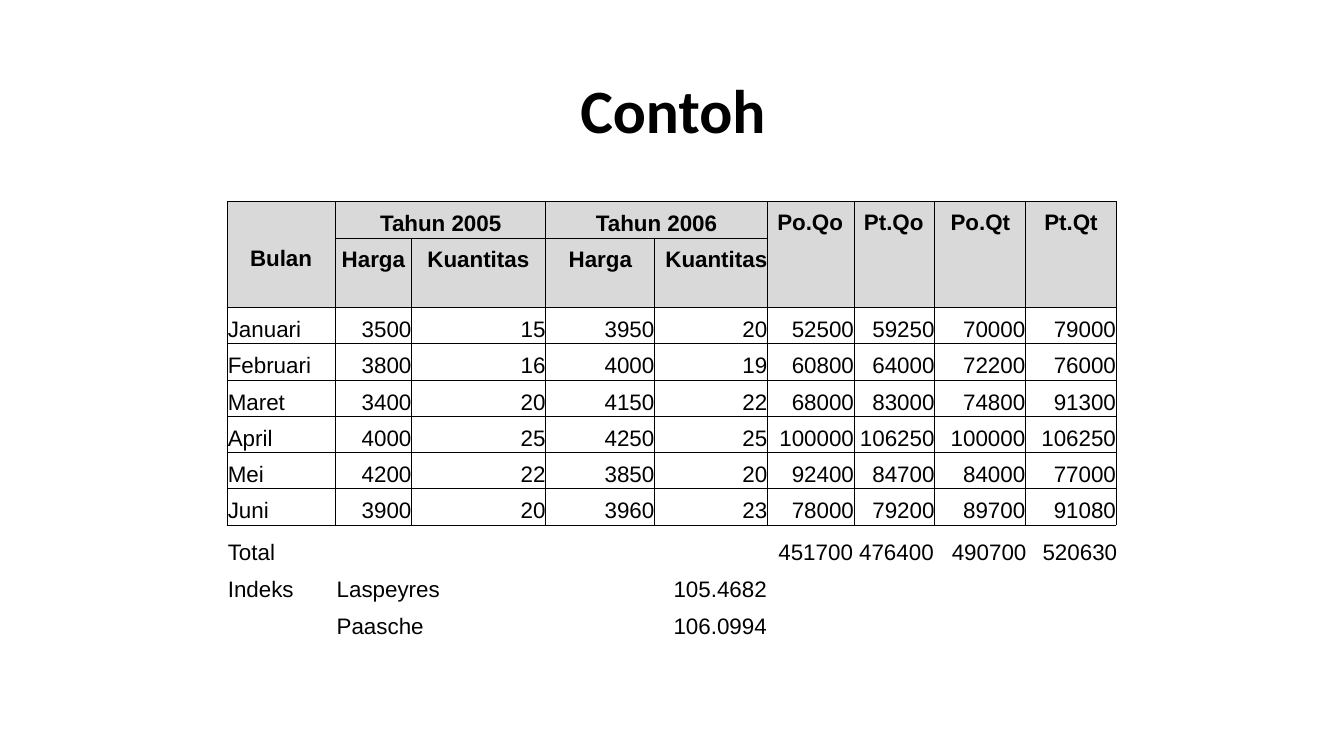
import dataclasses
import typing

import lxml.etree
import pptx
import pptx.dml.color
import pptx.enum.text
import pptx.oxml.ns
import pptx.util

Align = pptx.enum.text.PP_ALIGN
Anchor = pptx.enum.text.MSO_ANCHOR
qn = pptx.oxml.ns.qn

WIDE, HIGH = pptx.util.Inches(13.33), pptx.util.Inches(7.5)
HUES = {"ink": "000000", "head": "D9D9D9"}

# Shares of the slide, in percent
LEFT, TOP = 16.88, 26.67
COLS = [8.1, 5.63, 9.98, 8.1, 8.4, 6.45, 6, 6.75, 6.75]
ROWS = [4.8, 9.2] + [4.8] * 6

# Text metrics: line height in points, cell inset in inches
LINE, INSET = 18.4, 0.09


@dataclasses.dataclass
class Month:
    name: str
    po: int
    qo: int
    pt: int
    qt: int

    def values(self) -> list[int]:
        """Po.Qo, Pt.Qo, Po.Qt and Pt.Qt."""
        return [p * q for q in (self.qo, self.qt) for p in (self.po, self.pt)]


@dataclasses.dataclass
class Head:
    row: int
    col: int
    text: str
    pad: float
    down: int = 1
    across: int = 1
    inset: float = INSET
    line: typing.Optional[float] = LINE
    align: Align = Align.LEFT


@dataclasses.dataclass
class Box:
    left: float
    top: float
    width: float
    height: float
    text: str
    inset: float = 0.01
    line: float = 1.0
    gap: float = 0
    tabs: tuple[float, ...] = ()
    size: int = 16
    face: str = "Arial"
    bold: bool = False
    align: Align = Align.LEFT
    anchor: Anchor = Anchor.TOP


MONTHS = [
    Month("Januari", 3500, 15, 3950, 20),
    Month("Februari", 3800, 16, 4000, 19),
    Month("Maret", 3400, 20, 4150, 22),
    Month("April", 4000, 25, 4250, 25),
    Month("Mei", 4200, 22, 3850, 20),
    Month("Juni", 3900, 20, 3960, 23),
]
HEADS = [
    Head(0, 0, "Bulan", 0.23, down=2, inset=0.43),
    Head(0, 1, "Tahun 2005", 0.44, across=2),
    Head(0, 3, "Tahun 2006", 0.5, across=2),
    Head(0, 5, "Po.Qo", 0.1, down=2, line=None),
    Head(0, 6, "Pt.Qo", 0.1, down=2, line=None),
    Head(0, 7, "Po.Qt", 0.16, down=2, line=None),
    Head(0, 8, "Pt.Qt", 0.19, down=2, line=None),
    Head(1, 1, "Harga", 0.06),
    Head(1, 2, "Kuantitas", 0.16),
    Head(1, 3, "Harga", 0.23),
    Head(1, 4, "Kuantitas", 0, align=Align.RIGHT),
]


def across(share: float) -> int:
    return int(WIDE * share / 100)


def down(share: float) -> int:
    return int(HIGH * share / 100)


def style(para, size: int, face: str, bold: bool) -> None:
    for run in para.runs:
        run.font.size = pptx.util.Pt(size)
        run.font.name = face
        run.font.bold = bold
        run.font.color.rgb = pptx.dml.color.RGBColor.from_string(HUES["ink"])


def frame(cell) -> None:
    """Thin rule on all four sides, then no fill."""
    props = cell._tc.get_or_add_tcPr()
    for side in ("lnL", "lnR", "lnT", "lnB"):
        rule = lxml.etree.SubElement(props, qn("a:" + side), w="6350")
        fill = lxml.etree.SubElement(rule, qn("a:solidFill"))
        lxml.etree.SubElement(fill, qn("a:srgbClr"), val=HUES["ink"])
    cell.fill.background()


def write(cell, text: str, pad: float, align: Align, bold: bool = False,
          inset: float = INSET, line: typing.Optional[float] = LINE) -> None:
    cell.margin_left = pptx.util.Inches(pad)
    cell.margin_top = pptx.util.Inches(inset)
    cell.margin_right = cell.margin_bottom = 0
    para = cell.text_frame.paragraphs[0]
    para.text = text
    para.alignment = align
    if line:
        para.line_spacing = pptx.util.Pt(line)
    style(para, 16, "Arial", bold)


def add_grid(slide) -> None:
    shape = slide.shapes.add_table(
        len(ROWS), len(COLS), across(LEFT), down(TOP),
        across(sum(COLS)), down(sum(ROWS)))
    table = shape.table
    table.first_row = table.horz_banding = False
    for col, share in zip(table.columns, COLS):
        col.width = across(share)
    for row, share in zip(table.rows, ROWS):
        row.height = down(share)
    for cell in table.iter_cells():
        frame(cell)
        cell.margin_top = cell.margin_bottom = 0

    # Heading cells
    for head in HEADS:
        cell = table.cell(head.row, head.col)
        if head.down * head.across > 1:
            cell.merge(table.cell(head.row + head.down - 1,
                                  head.col + head.across - 1))
        write(cell, head.text, head.pad, head.align, True, head.inset, head.line)
    for row in range(2):
        for col in range(len(COLS)):
            fill = table.cell(row, col).fill
            fill.solid()
            fill.fore_color.rgb = pptx.dml.color.RGBColor.from_string(HUES["head"])

    # Month rows
    for row, month in enumerate(MONTHS, 2):
        write(table.cell(row, 0), month.name, 0.01, Align.LEFT)
        figures = [month.po, month.qo, month.pt, month.qt] + month.values()
        for col, figure in enumerate(figures, 1):
            write(table.cell(row, col), str(figure), 0, Align.RIGHT)


def add_box(slide, box: Box) -> None:
    shape = slide.shapes.add_textbox(
        across(box.left), down(box.top), across(box.width), down(box.height))
    body = shape.text_frame
    body.word_wrap = True
    body.vertical_anchor = box.anchor
    body.margin_left = pptx.util.Inches(0.01)
    body.margin_top = pptx.util.Inches(box.inset)
    body.margin_right = body.margin_bottom = 0
    body.text = box.text
    for spot, para in enumerate(body.paragraphs):
        para.alignment = box.align
        para.line_spacing = box.line
        para.space_before = pptx.util.Pt(box.gap if spot else 0)
        style(para, box.size, box.face, box.bold)
        if box.tabs:
            stops = lxml.etree.SubElement(para._p.get_or_add_pPr(), qn("a:tabLst"))
            for stop in box.tabs:
                lxml.etree.SubElement(stops, qn("a:tab"), algn="l",
                                      pos=str(pptx.util.Inches(stop)))


def main() -> None:
    deck = pptx.Presentation()
    deck.slide_width, deck.slide_height = WIDE, HIGH
    slide = deck.slides.add_slide(deck.slide_layouts[6])

    # Sums and price indices
    sums = [sum(part) for part in zip(*(month.values() for month in MONTHS))]
    oo, to, ot, tt = sums
    rates = f"{100 * to / oo:.4f}\n{100 * tt / ot:.4f}"

    boxes = [
        Box(6.9, 5.33, 86.27, 19.33, "Contoh", size=44, face="Calibri",
            bold=True, line=0.9, align=Align.CENTER, anchor=Anchor.MIDDLE),
        Box(57.84, 71.07, 25.28, 3.87, f"{oo} {to}\t{ot}\t{tt}", tabs=(1.72, 2.62)),
        Box(16.88, 69.87, 6, 10, "Total\nIndeks", line=1.35),
        Box(24.98, 74.67, 8.5, 10, "Laspeyres\nPaasche", inset=0.11, gap=6.7),
        Box(50.04, 74.67, 7.5, 10, rates, inset=0.11, gap=6.7),
    ]
    add_grid(slide)
    for box in boxes:
        add_box(slide, box)
    deck.save("out.pptx")


if __name__ == "__main__":
    main()
